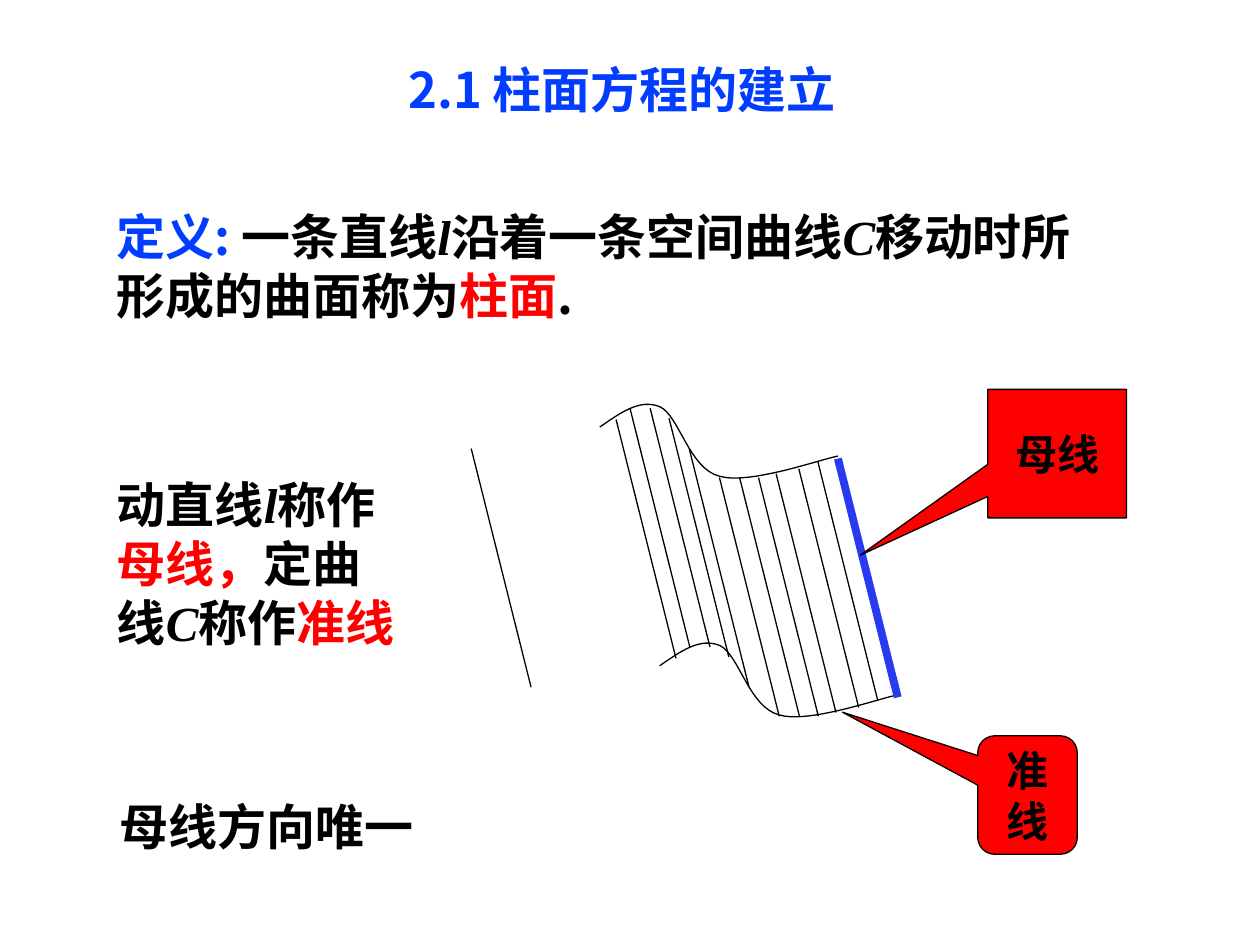
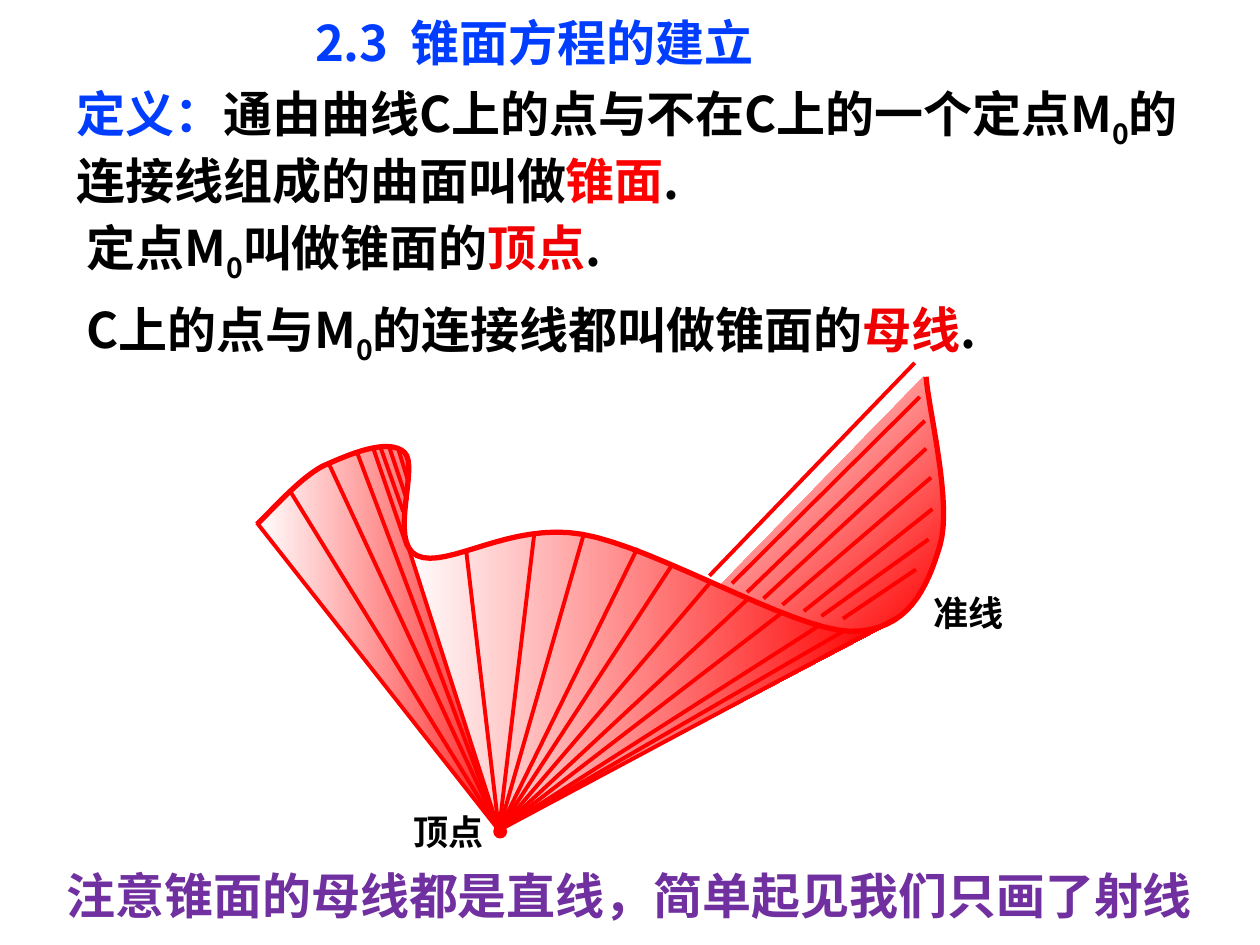
"""Build two slides that define cylindrical and conical surfaces."""
import dataclasses

import lxml.etree
import pptx
import pptx.dml.color
import pptx.enum.shapes
import pptx.enum.text
import pptx.oxml.ns
import pptx.util

SHAPE = pptx.enum.shapes.MSO_SHAPE
ANCHOR = pptx.enum.text.MSO_ANCHOR
ALIGN = pptx.enum.text.PP_ALIGN


@dataclasses.dataclass(frozen=True)
class Theme:
    """Colours, fonts and sizes shared by the slides."""
    ink: str = "000000"
    heading: str = "013DFF"
    term: str = "FF0000"
    soft_term: str = "F00000"
    generator: str = "283BF0"
    note: str = "7030A0"
    pale: str = "FFFFFF"
    sans: str = "Noto Sans CJK SC"
    serif: str = "Times New Roman"
    body: int = 28
    callout: int = 24
    label: int = 20
    leading: float = 1.2
    hairline: float = 0.75
    ray: float = 2.25
    rim: float = 3
    bold_line: float = 4.5


THEME = Theme()
HEAD = {"color": THEME.heading}
TERM = {"color": THEME.term}
SOFT = {"color": THEME.soft_term}
SYMBOL = {"font": THEME.serif, "italic": True}
SUB = {"baseline": -25000}


def rgb(color):
    """Turn a hex string into a colour."""
    return pptx.dml.color.RGBColor.from_string(color)


def write(paragraph, text, *, size=THEME.body, color=THEME.ink, font=THEME.sans,
          italic=False, baseline=0):
    """Add one formatted run to a paragraph."""
    run = paragraph.add_run()
    run.text = text
    run.font.size = pptx.util.Pt(size)
    run.font.bold = True
    run.font.italic = italic
    run.font.name = font
    run.font.color.rgb = rgb(color)
    properties = run.font._element
    east_asian = lxml.etree.SubElement(properties, pptx.oxml.ns.qn("a:ea"))
    east_asian.set("typeface", THEME.sans)
    if baseline:
        properties.set("baseline", str(baseline))


def bezier(start, *curves, steps=16):
    """List the points along a chain of cubic curves."""
    points = [start]
    for first, second, end in curves:
        origin = points[-1]
        for step in range(1, steps + 1):
            t = step / steps
            weights = ((1 - t) ** 3, 3 * t * (1 - t) ** 2, 3 * t * t * (1 - t), t ** 3)
            knots = (origin, first, second, end)
            points.append(tuple(sum(w * knot[axis] for w, knot in zip(weights, knots))
                                for axis in (0, 1)))
    return points


def shift(point, offset):
    """Move a point by an offset."""
    return point[0] + offset[0], point[1] + offset[1]


class Deck:
    """Draws on the current slide in a grid of 100 columns by 75 rows."""
    columns, rows = 100, 75

    def __init__(self, theme):
        """Start an empty presentation."""
        self.theme = theme
        self.show = pptx.Presentation()
        self.show.slide_width = pptx.util.Inches(10)
        self.show.slide_height = pptx.util.Inches(7.5)
        self.slide = None

    def spot(self, point):
        """Convert a grid point or size to slide units."""
        return (round(self.show.slide_width * point[0] / self.columns),
                round(self.show.slide_height * point[1] / self.rows))

    def box(self, left, top, width, height):
        """Convert a grid rectangle to slide units."""
        return *self.spot((left, top)), *self.spot((width, height))

    def fill_text(self, frame, runs, *, size=None, align=ALIGN.LEFT, anchor=ANCHOR.TOP,
                  wrap=True, leading=None):
        """Set up a text frame and write its runs."""
        size = size or self.theme.body
        frame.auto_size = pptx.enum.text.MSO_AUTO_SIZE.NONE
        frame.word_wrap = wrap
        frame.vertical_anchor = anchor
        paragraph = frame.paragraphs[0]
        paragraph.alignment = align
        paragraph.line_spacing = pptx.util.Pt(size * (leading or self.theme.leading))
        for text, style in runs:
            write(paragraph, text, size=size, **style)

    def start(self, title, area):
        """Open a new slide with its title."""
        self.slide = self.show.slides.add_slide(self.show.slide_layouts[5])
        heading = self.slide.shapes.title
        heading.left, heading.top, heading.width, heading.height = self.box(*area)
        self.fill_text(heading.text_frame, [(title, HEAD)])

    def text(self, area, *runs, **layout):
        """Add a text box."""
        self.fill_text(self.slide.shapes.add_textbox(*self.box(*area)).text_frame,
                       runs, **layout)

    def line(self, start, end, color, width):
        """Add a straight line."""
        link = self.slide.shapes.add_connector(
            pptx.enum.shapes.MSO_CONNECTOR.STRAIGHT, *self.spot(start), *self.spot(end))
        link.line.color.rgb = rgb(color)
        link.line.width = pptx.util.Pt(width)
        lxml.etree.SubElement(link._element.spPr, pptx.oxml.ns.qn("a:effectLst"))

    def outline(self, points, closed):
        """Add a free outline without a shadow."""
        first, *others = map(self.spot, points)
        builder = self.slide.shapes.build_freeform(*first)
        builder.add_line_segments(others, close=closed)
        drawn = builder.convert_to_shape()
        drawn.shadow.inherit = False
        return drawn

    def curve(self, points, color, width):
        """Add an open curve."""
        drawn = self.outline(points, False)
        drawn.fill.background()
        drawn.line.color.rgb = rgb(color)
        drawn.line.width = pptx.util.Pt(width)

    def sheet(self, points, angle=0):
        """Add a surface shaded from pale to red."""
        drawn = self.outline(points, True)
        drawn.line.fill.background()
        drawn.fill.gradient()
        drawn.fill.gradient_angle = angle
        shades = (self.theme.pale, self.theme.term)
        for stop, shade, position in zip(drawn.fill.gradient_stops, shades, (0, 1)):
            stop.color.rgb = rgb(shade)
            stop.position = position

    def shape(self, kind, area, line, adjustments=()):
        """Add a red preset shape."""
        drawn = self.slide.shapes.add_shape(kind, *self.box(*area))
        drawn.shadow.inherit = False
        drawn.fill.solid()
        drawn.fill.fore_color.rgb = rgb(self.theme.term)
        drawn.line.color.rgb = rgb(line)
        drawn.line.width = pptx.util.Pt(self.theme.hairline)
        for index, value in enumerate(adjustments):
            drawn.adjustments[index] = value
        return drawn

    def callout(self, kind, area, adjustments, text):
        """Add a callout with a centred label."""
        drawn = self.shape(kind, area, self.theme.ink, adjustments)
        self.fill_text(drawn.text_frame, [(text, {"font": "Arial"})],
                       size=self.theme.callout, align=ALIGN.CENTER, anchor=ANCHOR.MIDDLE)


def cylinder(deck):
    """Draw the slide on cylindrical surfaces."""
    theme = deck.theme
    deck.start("2.1 柱面方程的建立", (31.4, 4.2, 40, 5.7))
    deck.text((8.3, 15.9, 80.3, 10.3), ("定义: ", HEAD), ("一条直线", {}), ("l", SYMBOL),
              ("沿着一条空间曲线", {}), ("C", SYMBOL), ("移动时所形成的曲面称为", {}),
              ("柱面", TERM), (".", {}))
    deck.text((8.3, 37.2, 25.2, 19.7), ("动直线", {}), ("l", SYMBOL), ("称作", {}),
              ("母线，", TERM), ("定曲线", {}), ("C", SYMBOL), ("称作", {}), ("准线", TERM))

    sweep = (4.75, 18.95)
    directrix = bezier((47.6, 33.9),
                       ((49.2, 32.8), (50.8, 31.6), (52.4, 32.3)),
                       ((53.9, 33), (54.7, 37.2), (57.1, 37.8)),
                       ((59.4, 38.5), (65, 36.5), (66.5, 36.2)))
    deck.curve(directrix, theme.ink, theme.hairline)
    deck.curve([shift(point, sweep) for point in directrix], theme.ink, theme.hairline)
    generators = ((37.4, 35.6), (48.9, 33.3), (50, 32.4), (51.6, 32.4), (53.1, 33.2),
                  (54.7, 35.6), (57.1, 37.9), (58.7, 37.9), (60.2, 37.9), (61.6, 37.6),
                  (63.4, 37.2), (64.9, 36.6))
    for top in generators:
        deck.line(top, shift(top, sweep), theme.ink, theme.hairline)
    edge = (66.5, 36.4)
    deck.line(edge, shift(edge, sweep), theme.generator, theme.bold_line)

    deck.callout(SHAPE.RECTANGULAR_CALLOUT, (78.4, 30.9, 11, 10.2), (-1.42, 0.79), "母线")
    deck.callout(SHAPE.ROUNDED_RECTANGULAR_CALLOUT, (77.6, 58.4, 7.9, 9.4),
                 (-1.86, -0.7, 0.17), "准线")
    deck.text((8.5, 62.7, 25.7, 5.7), ("母线方向唯一", {}), wrap=False)


def cone(deck):
    """Draw the slide on conical surfaces."""
    theme = deck.theme
    deck.start("2.3  锥面方程的建立", (24, 0.5, 49.6, 5.7))
    deck.text((5.1, 6.8, 89.8, 10.4), ("定义：", HEAD),
              ("通由曲线C上的点与不在C上的一个定点M", {}), ("0", SUB),
              ("的连接线组成的曲面叫做", {}), ("锥面", TERM), (".", {}))
    deck.text((5.9, 23.3, 75.6, 10.6), ("C上的点与M", {}), ("0", SUB),
              ("的连接线都叫做锥面的", {}), ("母线", SOFT), (".", {}), leading=1.36)
    deck.text((5.9, 17, 53.6, 5.7), ("定点M", {}), ("0", SUB), ("叫做锥面的", {}),
              ("顶点", SOFT), (".", {}), leading=1.3)

    apex = (39.6, 65.9)
    deck.sheet(((20.4, 41.5), (23.1, 38.9), (25, 37.3), (27.1, 36.4), (28.8, 35.6),
                (30.7, 35.3), (32.1, 35.7), (32.3, 36), (32.6, 37.3), (32.2, 40.7),
                (32.1, 42.3), (32.2, 43.4), (36.6, 48.3), (43, 53.5), (38.3, 58.1),
                (39.1, 65.1)))
    deck.sheet((apex, (32.2, 43.1), (33.5, 44.2), (36.2, 43.9), (38.8, 43.1),
                (42.4, 42.4), (45.8, 42.3), (48.9, 43.1), (52.2, 44.3), (55.4, 45.7),
                (57.1, 46.5), (59.5, 47.6), (61.3, 48.3), (64.3, 49.4), (67.5, 50.1),
                (70.5, 49.6)))
    deck.sheet(((57.1, 46.5), (73.3, 29.9), (73.7, 31.4), (74.3, 35.1), (74.7, 37.2),
                (74.8, 39.6), (74.9, 41.9), (74.6, 43.2), (74.2, 44.5), (73.6, 45.9),
                (73.1, 47), (72.1, 48.3), (70.8, 49.3), (69.6, 49.9), (68.1, 50),
                (66.3, 50.1), (63.1, 49)), angle=315)

    full_rays = ((20.4, 41.5), (23.1, 39.1), (26.1, 36.8), (28.3, 35.8), (32.4, 43.4),
                 (37, 43.7), (42.4, 42.4), (46.3, 42.5), (50.6, 43.5), (53.3, 44.9),
                 (56.4, 46.2), (59.4, 47.5), (62.1, 48.6), (65.1, 49.6), (67.1, 50),
                 (71.2, 49))
    visible_rays = (((29.6, 35.5), (32.3, 43.4)), ((30.2, 35.5), (32, 40.6)),
                    ((30.9, 35.5), (32.3, 39.7)), ((31.6, 35.6), (32.4, 38.2)),
                    ((72.6, 28.8), (56.3, 45.7)), ((73, 31.5), (58.1, 46.3)),
                    ((73.4, 33.4), (59.3, 47)), ((73.5, 35.6), (60.6, 47.5)),
                    ((73.9, 37.9), (62.1, 48)), ((74, 40.4), (63.8, 48.5)),
                    ((73.7, 42.8), (65.2, 48.9)), ((72.7, 45.2), (66.9, 49.1)))
    for start, end in [(point, apex) for point in full_rays] + list(visible_rays):
        deck.line(start, end, theme.term, theme.ray)
    deck.curve(bezier((20.4, 41.6),
                      ((21.3, 40.8), (23.7, 38), (25.6, 37)),
                      ((27.6, 36.1), (30.8, 34.7), (32.1, 35.9)),
                      ((33.3, 37), (30.8, 43), (33.1, 44.1)),
                      ((35.5, 45.2), (40.5, 41.4), (46.2, 42.4)),
                      ((52, 43.4), (62.7, 49.9), (67.4, 50.1)),
                      ((72.1, 50.2), (73.6, 46.6), (74.6, 43.3)),
                      ((75.6, 39.9), (73.7, 32.6), (73.5, 29.9))), theme.term, theme.rim)

    for name, area in (("准线", (72.3, 46.5, 9.2, 4.3)), ("顶点", (31.2, 63.8, 8.8, 4.4))):
        deck.text(area, (name, {}), size=theme.label, align=ALIGN.CENTER,
                  anchor=ANCHOR.MIDDLE)
    deck.shape(SHAPE.OVAL, (39.2, 65.5, 1, 1), theme.term)
    deck.text((4.3, 68.2, 92.7, 5.7),
              ("注意锥面的母线都是直线，简单起见我们只画了射线", {"color": theme.note}),
              wrap=False)


def main():
    """Build and save the slides."""
    deck = Deck(THEME)
    cylinder(deck)
    cone(deck)
    deck.show.save("out.pptx")


if __name__ == "__main__":
    main()
